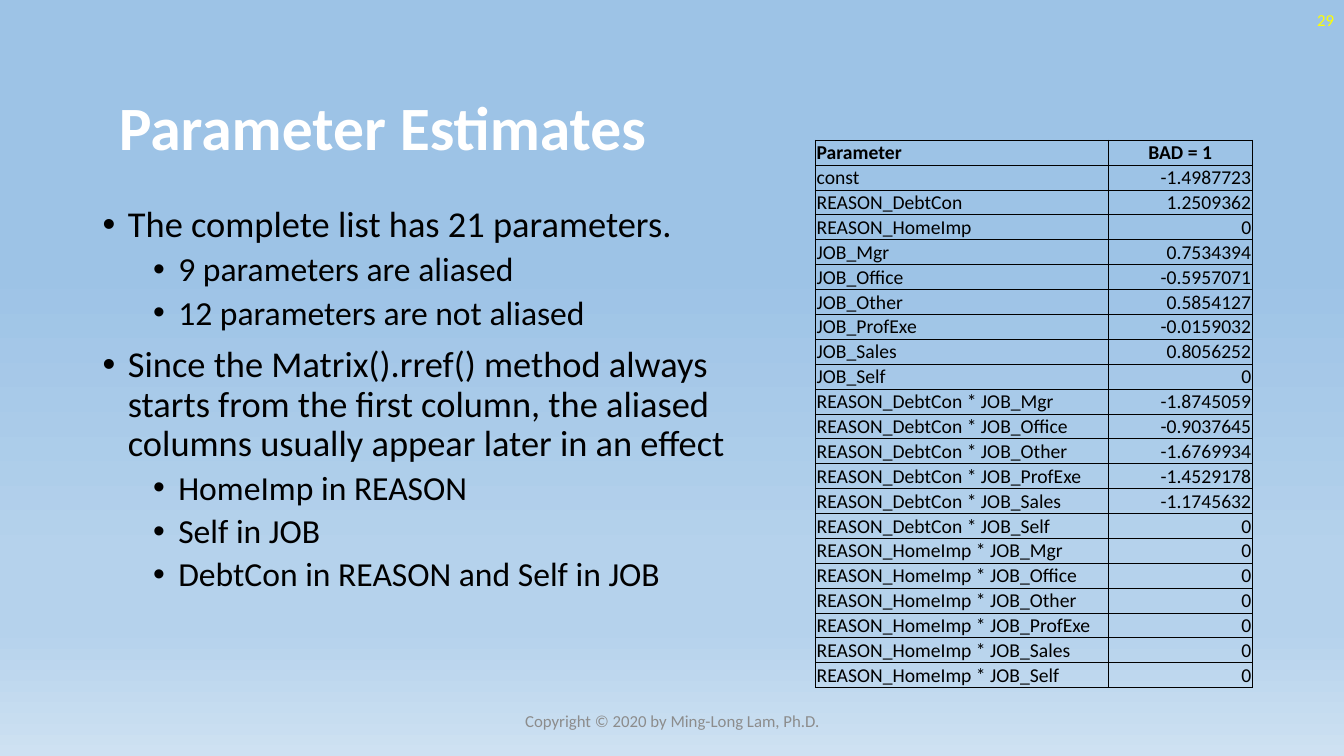
from copy import deepcopy

from lxml import etree
from pptx import Presentation
from pptx.dml.color import RGBColor
from pptx.enum.text import MSO_ANCHOR, PP_ALIGN
from pptx.oxml.ns import qn
from pptx.util import Pt

PX = 9144  # one px is a hundredth of an inch
LEFT, CENTER, RIGHT = PP_ALIGN.LEFT, PP_ALIGN.CENTER, PP_ALIGN.RIGHT
TOP, MIDDLE, BOTTOM = MSO_ANCHOR.TOP, MSO_ANCHOR.MIDDLE, MSO_ANCHOR.BOTTOM

FONT = "Calibri"
BLACK = RGBColor(0x00, 0x00, 0x00)
WHITE = RGBColor(0xFF, 0xFF, 0xFF)
YELLOW = RGBColor(0xFF, 0xFF, 0x00)
GRAY = RGBColor(0x8C, 0x8C, 0x8C)
SKY = RGBColor(0x9D, 0xC3, 0xE6)
HAZE = RGBColor(0xB5, 0xD2, 0xEC)
MIST = RGBColor(0xCE, 0xE1, 0xF2)

SKY_STOPS = [(0.35, SKY), (0.74, HAZE), (0.83, HAZE), (1, MIST)]

# (outline level, text)
POINTS = [
    (0, "The complete list has 21 parameters."),
    (1, "9 parameters are aliased"),
    (1, "12 parameters are not aliased"),
    (0, "Since the Matrix().rref() method always starts from the first column, "
        "the aliased columns usually appear later in an effect"),
    (1, "HomeImp in REASON"),
    (1, "Self in JOB"),
    (1, "DebtCon in REASON and Self in JOB"),
]
# For each level: text size, space before, left margin in px
LEVELS = [(26, 10, 25), (24, 5, 75)]
HANGING = 25

REASONS = ["DebtCon", "HomeImp"]
JOBS = ["Mgr", "Office", "Other", "ProfExe", "Sales", "Self"]
PARAMETERS = (
    ["const"]
    + [f"REASON_{reason}" for reason in REASONS]
    + [f"JOB_{job}" for job in JOBS]
    + [f"REASON_{reason} * JOB_{job}" for reason in REASONS for job in JOBS]
)
ESTIMATES = [
    "-1.4987723", "1.2509362", "0",
    "0.7534394", "-0.5957071", "0.5854127", "-0.0159032", "0.8056252", "0",
    "-1.8745059", "-0.9037645", "-1.6769934", "-1.4529178", "-1.1745632", "0",
] + ["0"] * len(JOBS)


def write(para, text, size, color=BLACK, bold=False, align=LEFT, line=None, before=0):
    """Put formatted text in a paragraph."""
    para.alignment = align
    para.space_before = Pt(before)
    if line:
        para.line_spacing = line
    span = para.add_run()
    span.text = text
    span.font.name = FONT
    span.font.size = Pt(size)
    span.font.bold = bold
    span.font.color.rgb = color


def add_frame(page, box, anchor):
    frame = page.shapes.add_textbox(*(PX * length for length in box)).text_frame
    frame.word_wrap = True
    frame.vertical_anchor = anchor
    return frame


def add_label(page, box, text, **style):
    write(add_frame(page, box, MIDDLE).paragraphs[0], text, **style)


def paint_background(page):
    fill = page.background.fill
    fill.gradient()
    fill.gradient_angle = 270
    stop_list = page.element.find(".//" + qn("a:gsLst"))
    while len(stop_list) < len(SKY_STOPS):
        stop_list.append(deepcopy(stop_list[0]))
    for stop, (position, color) in zip(fill.gradient_stops, SKY_STOPS):
        stop.position = position
        stop.color.rgb = color


def add_bullet(para, margin):
    props = para._p.get_or_add_pPr()
    props.set("marL", str(margin * PX))
    props.set("indent", str(-HANGING * PX))
    etree.SubElement(props, qn("a:buFont"), typeface="Arial")
    etree.SubElement(props, qn("a:buChar"), char="•")


def add_points(page, box):
    frame = add_frame(page, box, TOP)
    for index, (level, text) in enumerate(POINTS):
        para = frame.add_paragraph() if index else frame.paragraphs[0]
        size, before, margin = LEVELS[level]
        para.level = level
        write(para, text, size, line=0.9, before=before)
        add_bullet(para, margin)


def add_borders(cell):
    props = cell._tc.get_or_add_tcPr()
    for index, side in enumerate(("a:lnL", "a:lnR", "a:lnT", "a:lnB")):
        border = etree.Element(qn(side), w=str(Pt(0.5)))
        fill = etree.SubElement(border, qn("a:solidFill"))
        etree.SubElement(fill, qn("a:srgbClr"), val=str(BLACK))
        props.insert(index, border)


def fill_cell(cell, text, **style):
    cell.fill.background()
    cell.vertical_anchor = BOTTOM
    cell.margin_left = cell.margin_right = cell.margin_top = PX
    cell.margin_bottom = 0
    write(cell.text_frame.paragraphs[0], text, size=14, **style)
    add_borders(cell)


def add_estimates(page, box, name_width):
    rows = [("Parameter", "BAD = 1"), *zip(PARAMETERS, ESTIMATES)]
    table = page.shapes.add_table(len(rows), 2, *(PX * length for length in box)).table
    table.first_row = table.horz_banding = False
    table.columns[0].width = PX * name_width
    table.columns[1].width = PX * (box[2] - name_width)
    for index, (name, estimate) in enumerate(rows):
        header = index == 0
        fill_cell(table.cell(index, 0), name, bold=header)
        fill_cell(table.cell(index, 1), estimate, bold=header,
                  align=CENTER if header else RIGHT)


def build_estimates_page(deck):
    page = deck.slides.add_slide(deck.slide_layouts[6])
    paint_background(page)
    # Table of estimates
    add_estimates(page, (809, 139, 433, 536), name_width=290)
    # Page number, title and bullet points
    add_label(page, (1033, 0, 300, 40), "29", size=12, color=YELLOW, align=RIGHT)
    add_label(page, (108, 57, 1150, 145), "Parameter Estimates",
              size=44, color=WHITE, bold=True, line=0.9)
    add_points(page, (92, 200, 678, 476))
    # Footer
    add_label(page, (442, 695, 450, 40), "Copyright © 2020 by Ming-Long Lam, Ph.D.",
              size=12, color=GRAY, align=CENTER)


def main():
    deck = Presentation()
    deck.slide_width, deck.slide_height = 1333 * PX, 750 * PX
    build_estimates_page(deck)
    deck.save("out.pptx")


if __name__ == "__main__":
    main()
